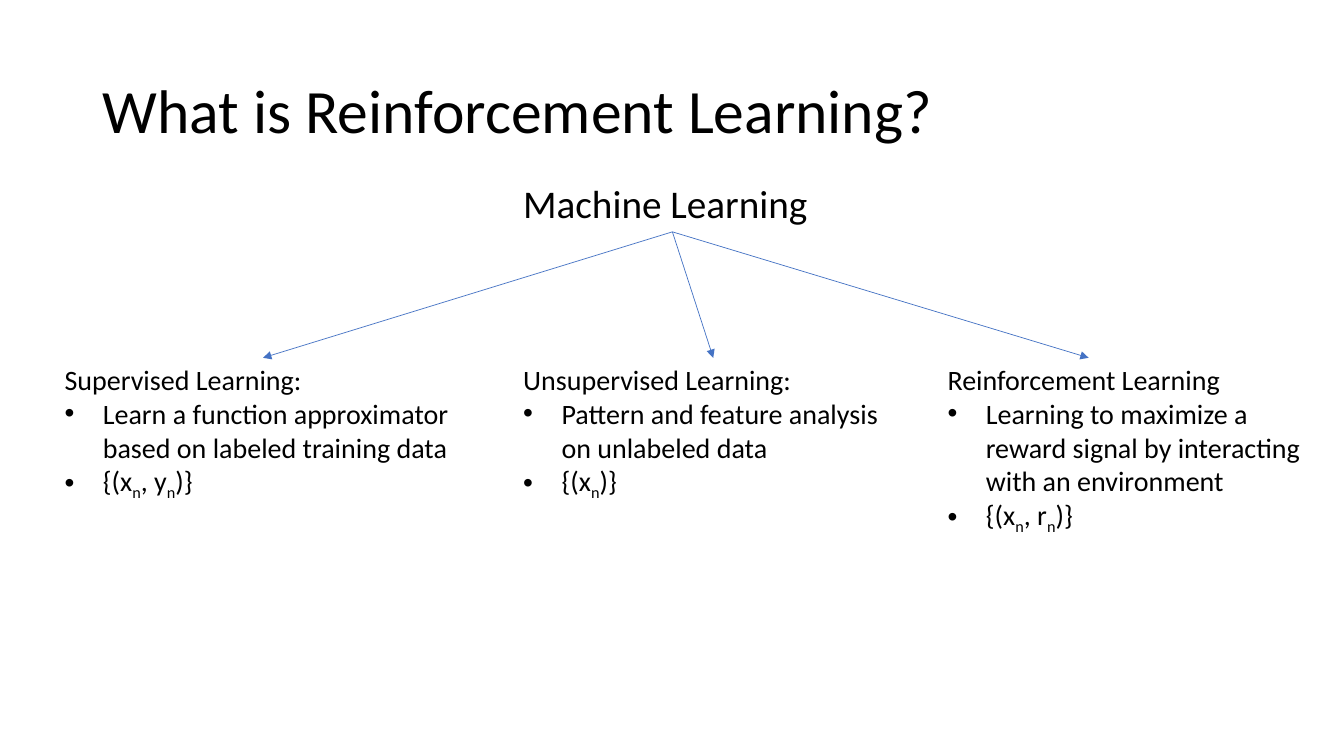
from dataclasses import dataclass

from lxml.etree import SubElement
from pptx import Presentation
from pptx.dml.color import RGBColor
from pptx.enum.shapes import MSO_CONNECTOR
from pptx.enum.text import MSO_ANCHOR, MSO_AUTO_SIZE, PP_ALIGN
from pptx.oxml.ns import qn
from pptx.util import Inches, Pt


@dataclass(frozen=True)
class Theme:
    font: str = "Calibri"
    ink: RGBColor = RGBColor(0, 0, 0)
    arrow: RGBColor = RGBColor(0x44, 0x72, 0xC4)
    title_size: int = 44
    root_size: int = 28
    body_size: int = 20
    arrow_width: float = 0.5
    bullet_indent: float = 0.38


class SlideBuilder:
    """Places elements by percentages of the slide's width and height."""

    def __init__(self, deck, layout_index, theme):
        self.theme = theme
        self.width, self.height = deck.slide_width, deck.slide_height
        self.slide = deck.slides.add_slide(deck.slide_layouts[layout_index])
        self.bodies = iter([holder for holder in self.slide.placeholders
                            if holder.placeholder_format.idx in range(1, 5)])

    def x(self, share):
        return round(self.width * share / 100)

    def y(self, share):
        return round(self.height * share / 100)

    def place(self, holder, left, top, width, height):
        holder.left, holder.top = self.x(left), self.y(top)
        holder.width, holder.height = self.x(width), self.y(height)

    def fill_paragraph(self, paragraph, parts, size, bullet=False):
        """Add the parts as runs; every second part is a subscript."""
        props = paragraph._p.get_or_add_pPr()
        indent = Inches(self.theme.bullet_indent) if bullet else 0
        props.set("marL", str(indent))
        props.set("indent", str(-indent))
        if bullet:
            SubElement(props, qn("a:buFont"), typeface="Arial")
            SubElement(props, qn("a:buChar"), char="•")
        else:
            SubElement(props, qn("a:buNone"))
        paragraph.alignment = PP_ALIGN.LEFT
        paragraph.space_before = Pt(0)
        for position, part in enumerate(parts):
            run = paragraph.add_run()
            run.text = part
            run.font.name = self.theme.font
            run.font.size = Pt(size)
            run.font.bold = False
            run.font.color.rgb = self.theme.ink
            if position % 2:
                run._r.get_or_add_rPr().set("baseline", "-25000")

    def title(self, wording, *area):
        heading = self.slide.shapes.title
        self.place(heading, *area)
        frame = heading.text_frame
        frame.auto_size = MSO_AUTO_SIZE.NONE
        frame.vertical_anchor = MSO_ANCHOR.MIDDLE
        self.fill_paragraph(frame.paragraphs[0], [wording], self.theme.title_size)
        frame.paragraphs[0].line_spacing = 0.9

    def topic(self, heading, size, *area, points=()):
        """Fill the next body placeholder with a heading and its bullets."""
        body = next(self.bodies)
        self.place(body, *area)
        frame = body.text_frame
        frame.word_wrap = True
        frame.auto_size = MSO_AUTO_SIZE.SHAPE_TO_FIT_TEXT
        frame.vertical_anchor = MSO_ANCHOR.TOP
        self.fill_paragraph(frame.paragraphs[0], [heading], size)
        for parts in points:
            self.fill_paragraph(frame.add_paragraph(), parts, size, bullet=True)
        return body

    def arrow(self, parent, child, end_x=None):
        """Join parent to child, or stop at end_x on the child's top edge."""
        stop = self.x(end_x) if end_x else child.left + child.width // 2
        link = self.slide.shapes.add_connector(
            MSO_CONNECTOR.STRAIGHT, parent.left + parent.width // 2,
            parent.top + parent.height, stop, child.top)
        link.begin_connect(parent, 2)
        if end_x is None:
            link.end_connect(child, 0)
        link.line.color.rgb = self.theme.arrow
        link.line.width = Pt(self.theme.arrow_width)
        SubElement(link.line._get_or_add_ln(), qn("a:tailEnd"), type="triangle")
        SubElement(link._element.spPr, qn("a:effectLst"))


# heading, left, width, height, arrow end, bullets
BRANCHES = [
    ("Supervised Learning:", 4.05, 31.05, 19.33, None,
     [["Learn a function approximator based on labeled training data"],
      ["{(x", "n", ", y", "n", ")}"]]),
    ("Unsupervised Learning:", 38.18, 29.78, 19.33, None,
     [["Pattern and feature analysis on unlabeled data"],
      ["{(x", "n", ")}"]]),
    ("Reinforcement Learning", 69.75, 28.2, 23.73, 81,
     [["Learning to maximize a reward signal by interacting with an environment"],
      ["{(x", "n", ", r", "n", ")}"]]),
]
BRANCH_TOP = 47.33
COMPARISON_LAYOUT = 4


def main():
    deck = Presentation()
    deck.slide_width, deck.slide_height = Inches(13.33), Inches(7.5)
    theme = Theme()
    page = SlideBuilder(deck, COMPARISON_LAYOUT, theme)
    page.title("What is Reinforcement Learning?", 6.9, 5.33, 86.25, 19.33)
    root = page.topic("Machine Learning", theme.root_size, 38.18, 23.07, 23.7, 7.6)
    for heading, left, width, height, arrow_end, points in BRANCHES:
        branch = page.topic(heading, theme.body_size, left, BRANCH_TOP,
                            width, height, points=points)
        page.arrow(root, branch, arrow_end)
    deck.save("out.pptx")


if __name__ == "__main__":
    main()
